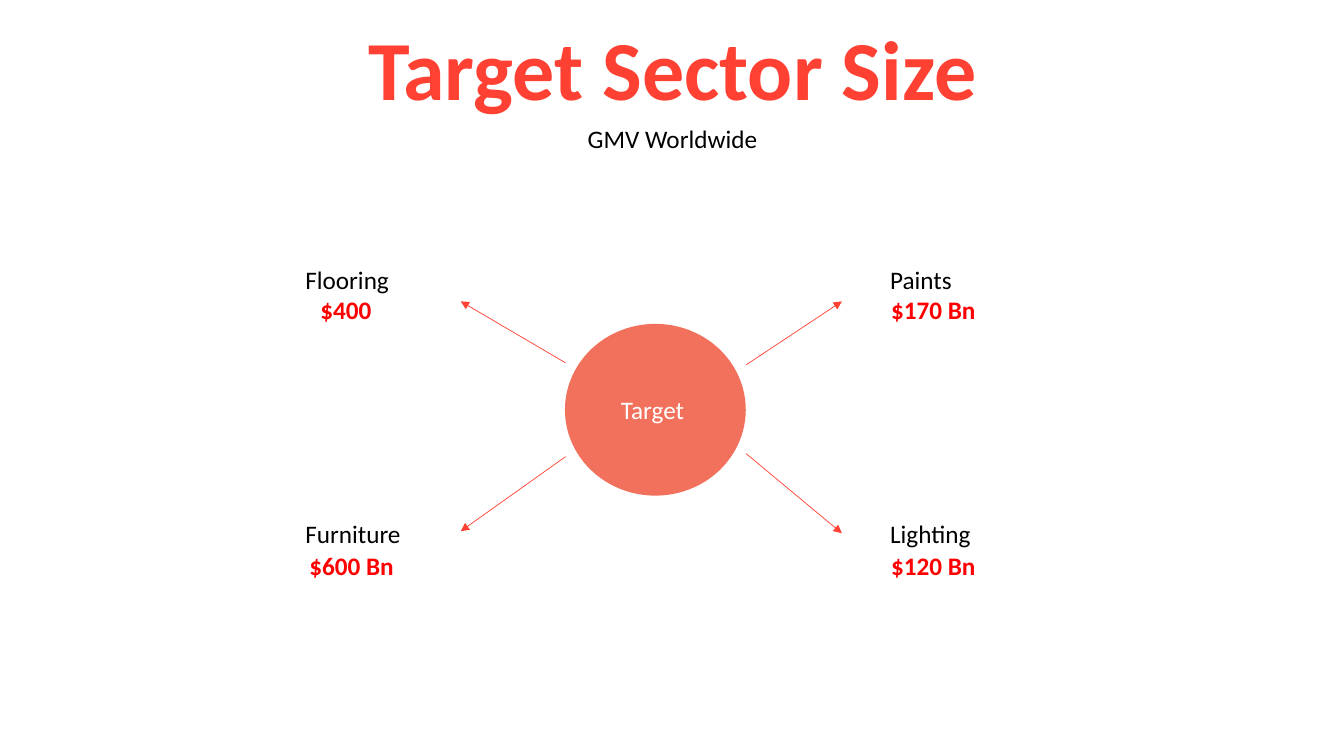
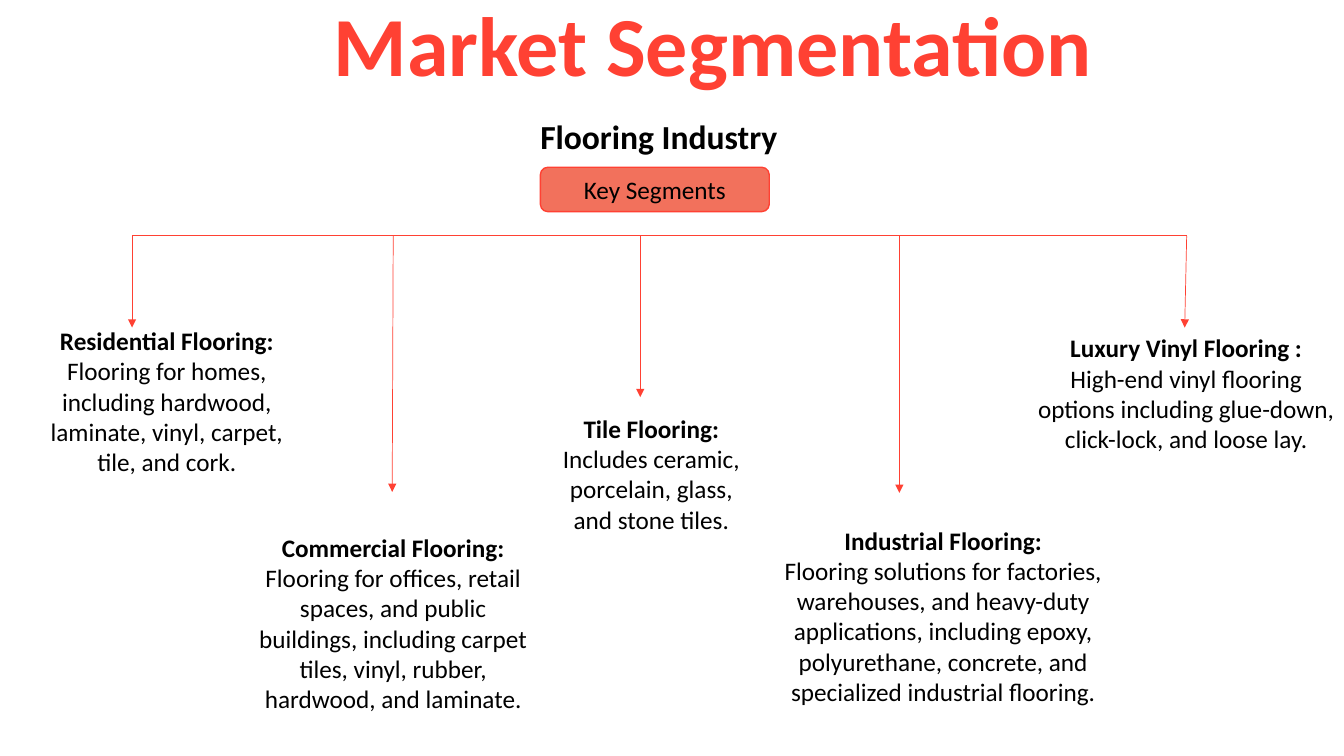
from lxml import etree
from pptx import Presentation
from pptx.dml.color import RGBColor
from pptx.enum.shapes import MSO_CONNECTOR, MSO_SHAPE
from pptx.enum.text import MSO_ANCHOR, MSO_AUTO_SIZE, PP_ALIGN
from pptx.oxml.ns import qn
from pptx.util import Pt

PX = 9144  # 100 px to the inch
FONT = "Calibri"
RED = RGBColor(0xFF, 0x41, 0x33)
CORAL = RGBColor(0xF2, 0x71, 0x5C)
PRICE_RED = RGBColor(0xFF, 0x00, 0x00)
BLACK = RGBColor(0x00, 0x00, 0x00)
WHITE = RGBColor(0xFF, 0xFF, 0xFF)

# name, name left and top, price, price left and top, arrow start, arrow end
SECTORS = [
    ("Flooring", (293, 257), "$400", (308, 287), (561, 360), (457, 299)),
    ("Paints", (873, 257), "$170 Bn", (874, 287), (740, 362), (835, 299)),
    ("Furniture", (293, 509), "$600 Bn", (297, 541), (561, 453), (457, 527)),
    ("Lighting", (873, 509), "$120 Bn", (874, 541), (740, 450), (835, 529)),
]
SECTOR_SIZE = (168, 40)

# heading, description, text box, arrow x at the bar, arrow tip
BAR_Y = 234
SEGMENTS = [
    ("Residential Flooring:",
     "Flooring for homes, including hardwood, laminate, vinyl, carpet, tile, and cork.",
     (29, 318, 273, 192), 131, (131, 325)),
    ("Commercial Flooring:",
     "Flooring for offices, retail spaces, and public buildings, including carpet tiles, "
     "vinyl, rubber, hardwood, and laminate.",
     (238, 523, 304, 222), 390, (389, 488)),
    ("Tile Flooring:",
     "Includes ceramic, porcelain, glass, and stone tiles.",
     (542, 405, 208, 162), 635, (635, 394)),
    ("Industrial Flooring:",
     "Flooring solutions for factories, warehouses, and heavy-duty applications, including "
     "epoxy, polyurethane, concrete, and specialized industrial flooring.",
     (733, 516, 405, 222), 892, (892, 489)),
    ("Luxury Vinyl Flooring :",
     "High-end vinyl flooring options including glue-down, click-lock, and loose lay.",
     (1018, 325, 317, 162), 1177, (1175, 325)),
]


def emu(lengths):
    return [length * PX for length in lengths]


def write(para, text, size=18, color=BLACK, bold=False, align=PP_ALIGN.LEFT):
    para.alignment = align
    span = para.add_run()
    span.text = text
    span.font.name = FONT
    span.font.size = Pt(size)
    span.font.bold = bold
    span.font.color.rgb = color


def add_page(deck, title, area, align):
    page = deck.slides.add_slide(deck.slide_layouts[5])
    box = page.shapes.title
    box.left, box.top, box.width, box.height = emu(area)
    frame = box.text_frame
    frame.auto_size = MSO_AUTO_SIZE.NONE
    frame.vertical_anchor = MSO_ANCHOR.MIDDLE
    para = frame.paragraphs[0]
    para.line_spacing = 0.9
    write(para, title, 60, RED, True, align)
    return page


def add_text(page, area, text, **style):
    frame = page.shapes.add_textbox(*emu(area)).text_frame
    frame.word_wrap = True
    write(frame.paragraphs[0], text, **style)
    return frame


def add_badge(page, kind, area, text, line, color):
    """Add a coral shape with one centred word or phrase."""
    badge = page.shapes.add_shape(kind, *emu(area))
    badge.shadow.inherit = False
    badge.fill.solid()
    badge.fill.fore_color.rgb = CORAL
    badge.line.color.rgb = line
    badge.line.width = Pt(1)
    badge.text_frame.vertical_anchor = MSO_ANCHOR.MIDDLE
    write(badge.text_frame.paragraphs[0], text, color=color, align=PP_ALIGN.CENTER)


def add_line(page, start, end, arrow=True):
    line = page.shapes.add_connector(MSO_CONNECTOR.STRAIGHT, *emu(start + end))
    line.line.color.rgb = RED
    line.line.width = Pt(0.5)
    if arrow:
        etree.SubElement(line.line._get_or_add_ln(), qn("a:tailEnd"), type="triangle")
    etree.SubElement(line._element.spPr, qn("a:effectLst"))


def build_sector_size(deck):
    page = add_page(deck, "Target Sector Size", (92, 0, 1150, 145), PP_ALIGN.CENTER)
    add_text(page, (570, 117, 194, 40), "GMV Worldwide", align=PP_ALIGN.CENTER)
    add_badge(page, MSO_SHAPE.OVAL, (561, 322, 178, 169), "Target ", CORAL, WHITE)
    for name, name_at, price, price_at, start, end in SECTORS:
        add_line(page, start, end)
        add_text(page, name_at + SECTOR_SIZE, name)
        add_text(page, price_at + SECTOR_SIZE, price, color=PRICE_RED, bold=True)


def build_segmentation(deck):
    page = add_page(deck, "Market Segmentation", (321, 0, 803, 97), PP_ALIGN.LEFT)
    add_text(page, (526, 110, 282, 50), "Flooring Industry", size=24, bold=True)
    add_badge(page, MSO_SHAPE.ROUNDED_RECTANGLE, (536, 166, 227, 44),
              "Key Segments", RED, BLACK)
    add_line(page, (SEGMENTS[0][3], BAR_Y), (SEGMENTS[-1][3], BAR_Y), arrow=False)
    for heading, description, area, bar_x, tip in SEGMENTS:
        add_line(page, (bar_x, BAR_Y), tip)
        frame = add_text(page, area, heading, bold=True, align=PP_ALIGN.CENTER)
        write(frame.add_paragraph(), description, align=PP_ALIGN.CENTER)


def main():
    deck = Presentation()
    deck.slide_width, deck.slide_height = emu((1333, 750))
    build_sector_size(deck)
    build_segmentation(deck)
    deck.save("out.pptx")


if __name__ == "__main__":
    main()
